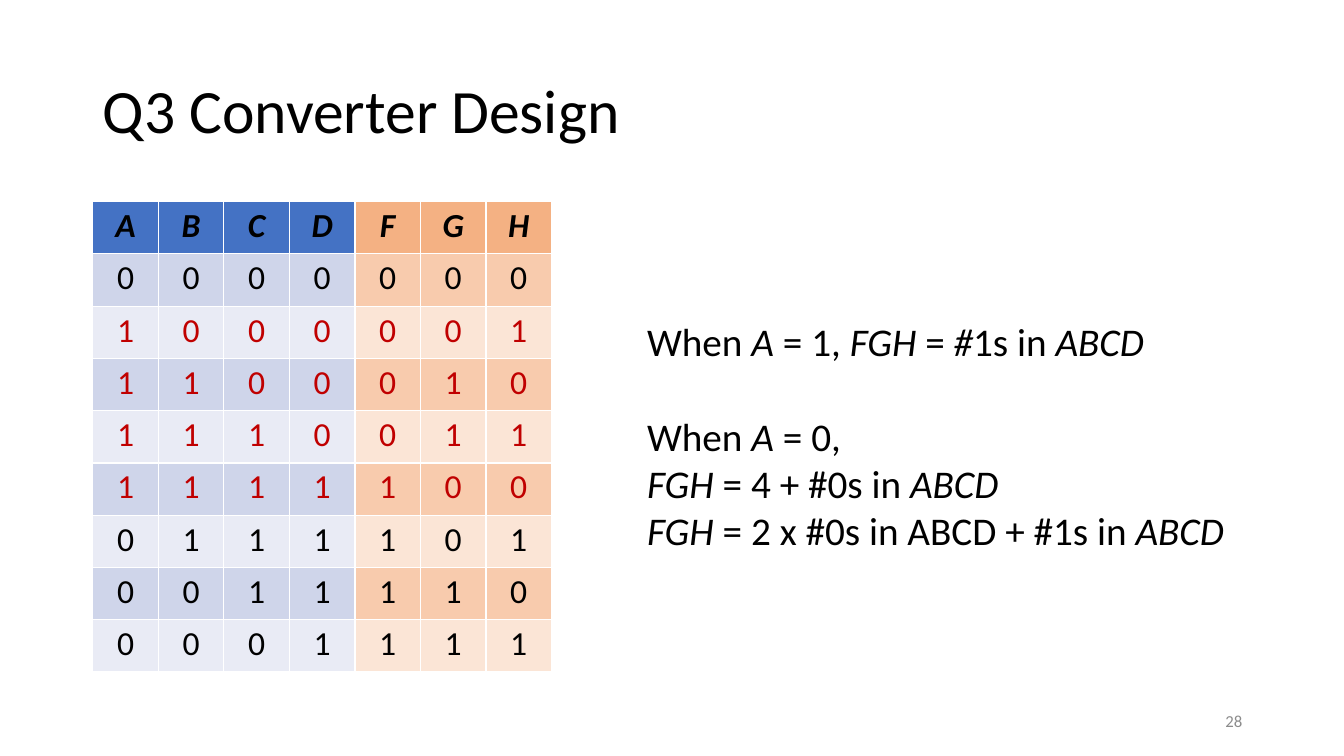
from dataclasses import dataclass

from pptx import Presentation
from pptx.dml.color import RGBColor
from pptx.enum.text import MSO_ANCHOR as Anchor, MSO_AUTO_SIZE as AutoSize, PP_ALIGN as Align
from pptx.util import Inches, Pt


@dataclass(frozen=True)
class Theme:
    font: str = "Calibri"
    title_size: int = 44
    rule_size: int = 28
    cell_size: int = 24
    page_size: int = 12
    ink: str = "000000"
    highlight: str = "C00000"
    muted: str = "8C8C8C"
    input_fills: tuple = ("4472C4", "CFD5EA", "E9EBF5")
    output_fills: tuple = ("F4B183", "F8CBAD", "FBE5D6")


class SlideBuilder:
    def __init__(self, deck, theme):
        self.theme = theme
        self.slide = deck.slides.add_slide(deck.slide_layouts[5])

    def run(self, paragraph, text, size, color, bold=False, italic=False):
        run = paragraph.add_run()
        run.text = text
        font = run.font
        font.name, font.size = self.theme.font, Pt(size)
        font.bold, font.italic = bold, italic
        font.color.rgb = RGBColor.from_string(color)

    def title(self, text, left, top, width, height):
        heading = self.slide.shapes.title
        heading.left, heading.top = Inches(left), Inches(top)
        heading.width, heading.height = Inches(width), Inches(height)
        frame = heading.text_frame
        frame.auto_size = AutoSize.NONE
        frame.vertical_anchor = Anchor.MIDDLE
        line = frame.paragraphs[0]
        line.alignment, line.line_spacing = Align.LEFT, 0.9
        self.run(line, text, self.theme.title_size, self.theme.ink)

    def truth_table(self, names, rows, input_count, left, top, width, height):
        theme = self.theme
        grid = self.slide.shapes.add_table(
            len(rows) + 1, len(names),
            Inches(left), Inches(top), Inches(width), Inches(height)).table
        for r, values in enumerate([names, *rows]):
            header = r == 0
            shade = 0 if header else 2 - r % 2
            color = theme.highlight if values[0] == "1" else theme.ink
            for c, value in enumerate(values):
                cell = grid.cell(r, c)
                cell.margin_left = cell.margin_right = Inches(0.07)
                cell.margin_top = cell.margin_bottom = Inches(0.04)
                fills = theme.input_fills if c < input_count else theme.output_fills
                cell.fill.solid()
                cell.fill.fore_color.rgb = RGBColor.from_string(fills[shade])
                line = cell.text_frame.paragraphs[0]
                line.alignment = Align.CENTER
                self.run(line, value, theme.cell_size, color, header, header)

    def text(self, lines, left, top, width, height, size, color,
             align=Align.LEFT, anchor=Anchor.TOP, gaps=None):
        frame = self.slide.shapes.add_textbox(
            Inches(left), Inches(top), Inches(width), Inches(height)).text_frame
        frame.word_wrap = True
        frame.vertical_anchor = anchor
        for index, parts in enumerate(lines):
            line = frame.add_paragraph() if index else frame.paragraphs[0]
            line.alignment = align
            line.space_before = Pt((gaps or {}).get(index, 0))
            for content, italic in parts:
                self.run(line, content, size, color, italic=italic)


def main():
    deck = Presentation()
    deck.slide_width, deck.slide_height = Inches(13.33), Inches(7.5)
    theme = Theme()
    page = SlideBuilder(deck, theme)

    page.title("Q3 Converter Design", 0.92, 0.4, 11.5, 1.45)

    codes = ["0000000", "1000001", "1100010", "1110011",
             "1111100", "0111101", "0011110", "0001111"]
    page.truth_table("ABCDFGH", codes, 4, 0.92, 2, 4.55, 4.67)

    rules = [
        [("When", False), (" A ", True), ("= 1, ", False), ("FGH ", True),
         ("=", False), (" #", True), ("1s in ", False), ("ABCD", True)],
        [("When", False), (" A ", True), ("= 0,", False)],
        [("FGH ", True), ("= 4 + #0s in ", False), ("ABCD", True)],
        [("FGH ", True), ("= 2 x #0s in ABCD + #1s in ", False), ("ABCD", True)],
    ]
    page.text(rules, 6.32, 3.1, 6.86, 2.93, theme.rule_size, theme.ink, gaps={1: 34})

    page.text([[("28", False)]], 9.42, 6.95, 3, 0.4, theme.page_size, theme.muted,
              Align.RIGHT, Anchor.MIDDLE)

    deck.save("out.pptx")


if __name__ == "__main__":
    main()
